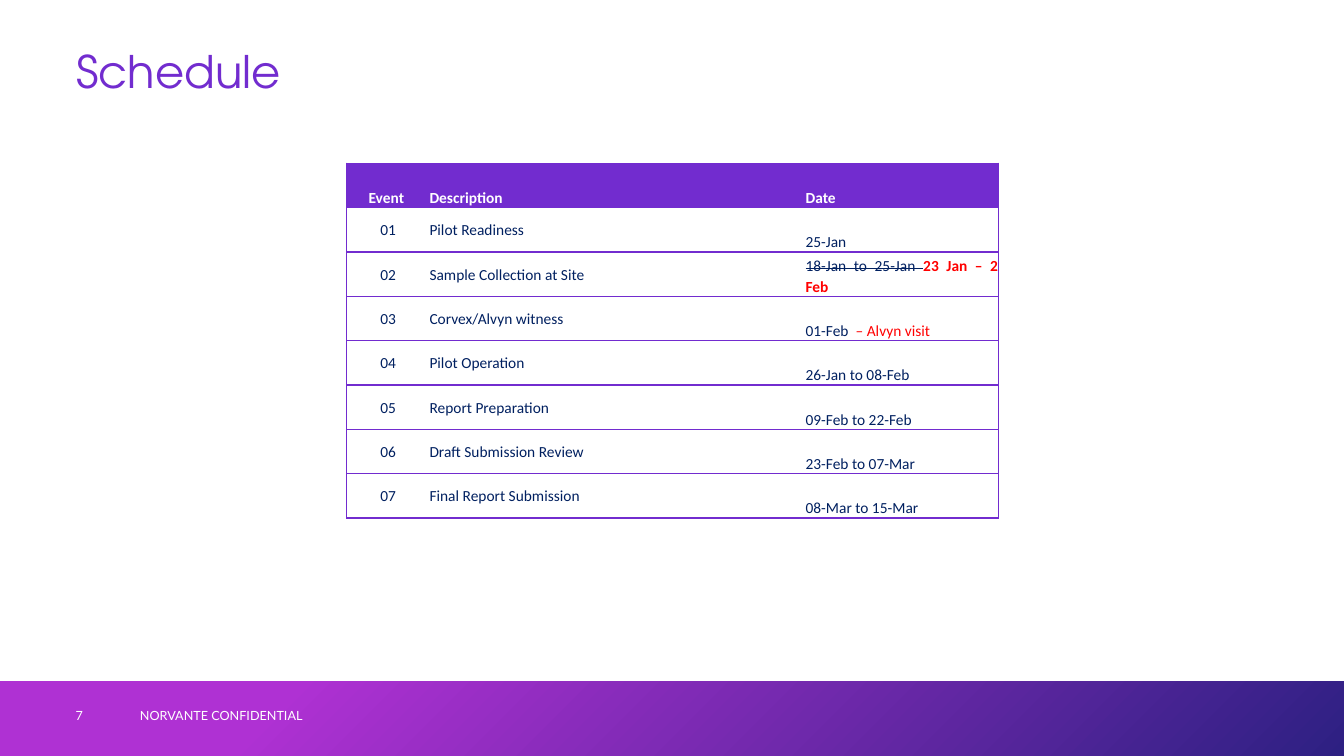
from dataclasses import dataclass
from typing import Any

from lxml.etree import SubElement
from pptx import Presentation
from pptx.dml.color import RGBColor
from pptx.enum.shapes import MSO_SHAPE
from pptx.enum.text import MSO_ANCHOR, PP_ALIGN
from pptx.oxml.ns import qn
from pptx.util import Inches, Pt

COLORS = {
    "violet": "722CCF",
    "magenta": "AF31D3",
    "indigo": "2D2082",
    "navy": "002060",
    "red": "FF0000",
    "white": "FFFFFF",
}


@dataclass(frozen=True)
class Words:
    text: str
    color: str = "navy"
    bold: bool = False
    struck: bool = False


@dataclass(frozen=True)
class Milestone:
    description: str
    date: tuple[Words, ...]


@dataclass(frozen=True)
class FooterLabel:
    text: str
    left: float
    width: float
    inset: float


@dataclass(frozen=True)
class Column:
    width: float
    align: PP_ALIGN
    anchor: MSO_ANCHOR
    sides: str


COLUMNS = [
    Column(0.82, PP_ALIGN.CENTER, MSO_ANCHOR.MIDDLE, "LTB"),
    Column(3.73, PP_ALIGN.JUSTIFY, MSO_ANCHOR.MIDDLE, "TB"),
    Column(1.91, PP_ALIGN.JUSTIFY, MSO_ANCHOR.BOTTOM, "RTB"),
]
HEADINGS = ["Event ", "Description", "Date"]
MILESTONES = [
    Milestone("Pilot Readiness", (Words("25-Jan"),)),
    Milestone("Sample Collection at Site", (
        Words("18-Jan to 25-Jan ", struck=True),
        Words("23 Jan – 2 Feb ", "red", bold=True),
    )),
    Milestone("Corvex/Alvyn witness", (Words("01-Feb "), Words(" – Alvyn visit", "red"))),
    Milestone("Pilot Operation", (Words("26-Jan to 08-Feb"),)),
    Milestone("Report Preparation", (Words("09-Feb to 22-Feb"),)),
    Milestone("Draft Submission Review", (Words("23-Feb to 07-Mar"),)),
    Milestone("Final Report Submission", (Words("08-Mar to 15-Mar"),)),
]
FOOTER_LABELS = [
    FooterLabel("NORVANTE CONFIDENTIAL", 1.29, 4.5, 0.1),
    FooterLabel("7", 0.75, 0.54, 0),
]
ROW_HEIGHT = 0.44


def rgb(color: str) -> RGBColor:
    return RGBColor.from_string(COLORS[color])


def apply(target: Any, formats: dict[str, Any]) -> None:
    for attribute, value in formats.items():
        setattr(target, attribute, value)


def style_font(font: Any, name: str, size: float, color: str, bold: bool = False) -> None:
    apply(font, {"name": name, "size": Pt(size), "bold": bold})
    font.color.rgb = rgb(color)


def draw_title(slide: Any) -> None:
    title = slide.shapes.title
    apply(title, {"left": Inches(0.76), "top": Inches(0.4),
                  "width": Inches(11.81), "height": Inches(0.67)})
    apply(title.text_frame, {"text": "Schedule", "margin_left": 0, "word_wrap": True,
                             "vertical_anchor": MSO_ANCHOR.MIDDLE})
    heading = title.text_frame.paragraphs[0]
    apply(heading, {"alignment": PP_ALIGN.LEFT, "line_spacing": 0.9})
    style_font(heading.runs[0].font, "TeX Gyre Adventor", 32, "violet")


def draw_footer_band(slide: Any) -> None:
    band = slide.shapes.add_shape(
        MSO_SHAPE.RECTANGLE, 0, Inches(6.76), Inches(13.33), Inches(0.74))
    band.shadow.inherit = False
    band.line.fill.background()
    band.fill.gradient()
    band.fill.gradient_angle = 315
    for stop, color, position in zip(
            band.fill.gradient_stops, ("magenta", "indigo"), (0.21, 1)):
        stop.color.rgb = rgb(color)
        stop.position = position


def draw_footer_label(slide: Any, label: FooterLabel) -> None:
    box = slide.shapes.add_textbox(
        Inches(label.left), Inches(6.9), Inches(label.width), Inches(0.4))
    apply(box.text_frame, {"text": label.text, "word_wrap": True,
                           "margin_left": Inches(label.inset),
                           "vertical_anchor": MSO_ANCHOR.MIDDLE})
    style_font(box.text_frame.paragraphs[0].runs[0].font, "Lato", 9, "white")


def draw_borders(cell: Any, sides: str) -> None:
    properties = cell._tc.get_or_add_tcPr()
    for side in "LRTB":
        border = SubElement(properties, qn(f"a:ln{side}"), w=str(Pt(1)))
        if side in sides:
            fill = SubElement(border, qn("a:solidFill"))
            SubElement(fill, qn("a:srgbClr"), val=COLORS["violet"])
        else:
            SubElement(border, qn("a:noFill"))


def fill_cell(cell: Any, column: Column, content: tuple[Words, ...], is_header: bool) -> None:
    draw_borders(cell, column.sides)
    apply(cell, {"margin_left": 0, "margin_right": 0, "margin_top": 0, "margin_bottom": 0,
                 "vertical_anchor": MSO_ANCHOR.BOTTOM if is_header else column.anchor})
    if is_header:
        cell.fill.solid()
        cell.fill.fore_color.rgb = rgb("violet")
    else:
        cell.fill.background()
    entry = cell.text_frame.paragraphs[0]
    apply(entry, {"alignment": column.align, "line_spacing": 1.07, "space_after": Pt(8)})
    for words in content:
        run = entry.add_run()
        run.text = words.text
        style_font(run.font, "Calibri", 11, words.color, words.bold)
        if words.struck:
            run.font._element.set("strike", "sngStrike")


def draw_schedule(slide: Any) -> None:
    rows = [[(Words(heading, "white", bold=True),) for heading in HEADINGS]]
    rows += [[(Words(f"{number:02}"),), (Words(milestone.description),), milestone.date]
             for number, milestone in enumerate(MILESTONES, 1)]
    schedule = slide.shapes.add_table(
        len(rows), len(COLUMNS), Inches(3.44), Inches(1.62),
        Inches(sum(column.width for column in COLUMNS)),
        Inches(ROW_HEIGHT * len(rows))).table
    apply(schedule, {"first_row": False, "horz_banding": False})
    for index, column in enumerate(COLUMNS):
        schedule.columns[index].width = Inches(column.width)
    for row_index, row in enumerate(rows):
        schedule.rows[row_index].height = Inches(ROW_HEIGHT)
        for column_index, (column, content) in enumerate(zip(COLUMNS, row)):
            fill_cell(schedule.cell(row_index, column_index), column, content, row_index == 0)


def main() -> None:
    deck = Presentation()
    apply(deck, {"slide_width": Inches(13.33), "slide_height": Inches(7.5)})
    slide = deck.slides.add_slide(deck.slide_layouts[5])
    draw_footer_band(slide)
    draw_title(slide)
    for label in FOOTER_LABELS:
        draw_footer_label(slide, label)
    draw_schedule(slide)
    deck.save("out.pptx")


if __name__ == "__main__":
    main()
